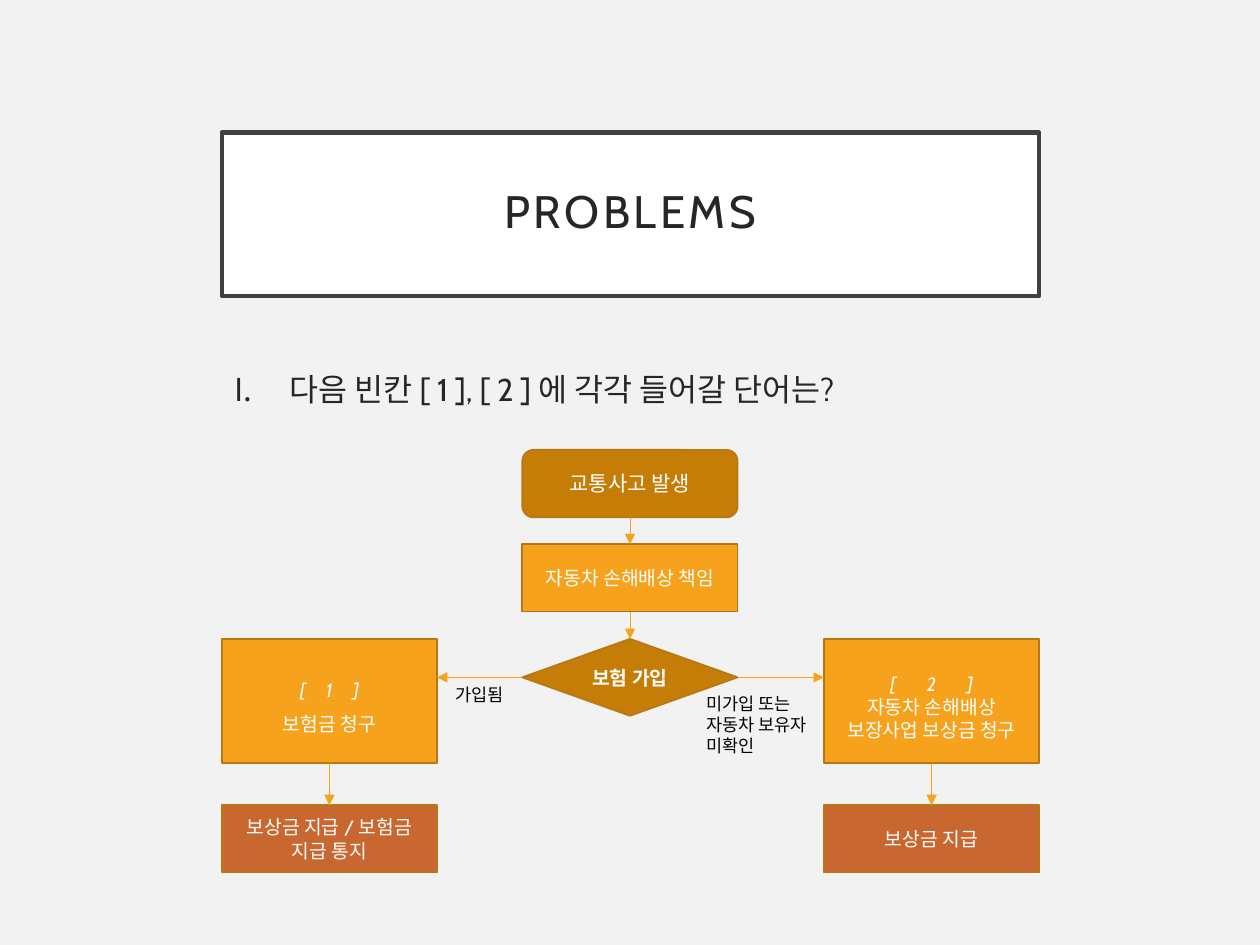
import pptx
import pptx.util
import pptx.dml.color
import pptx.enum.shapes
import pptx.enum.text
import pptx.oxml
import pptx.oxml.ns

Cm = pptx.util.Cm
Pt = pptx.util.Pt
KIND = pptx.enum.shapes.MSO_SHAPE
ALIGN = pptx.enum.text.PP_ALIGN
HUE = {
    "back": "F2F2F2", "white": "FFFFFF", "frame": "404040", "ink": "262626",
    "black": "000000", "dark": "C67D08", "gold": "F6A21D", "rust": "C96731",
    "edge": "B67815",
}


def tint(name):
    return pptx.dml.color.RGBColor.from_string(HUE[name])


def write(para, text, size, hue, bold=False, slant=False, track=0):
    run = para.add_run()
    run.text = text
    run.font.size = Pt(size)
    run.font.name = "Cabin"
    run.font.bold = bold
    run.font.italic = slant
    run.font.color.rgb = tint(hue)
    if track:
        run._r.get_or_add_rPr().set("spc", str(int(track * 100)))


deck = pptx.Presentation()
deck.slide_width = Cm(25.4)
deck.slide_height = Cm(19.05)
slide = deck.slides.add_slide(deck.slide_layouts[6])
slide.background.fill.solid()
slide.background.fill.fore_color.rgb = tint("back")

left, mid, right = 4.47, 10.53, 16.61
wide, tall = 4.34, 1.36
rect = KIND.RECTANGLE
nodes = [
    ("title", rect, left, 2.67, 16.48, 3.3, "white", "frame", 2.5),
    ("start", KIND.FLOWCHART_ALTERNATE_PROCESS, mid, 9.07, wide, tall, "dark", "edge", 1),
    ("duty", rect, mid, 10.97, wide, tall, "gold", "edge", 1),
    ("check", KIND.FLOWCHART_DECISION, mid, 12.88, wide, 1.55, "dark", "edge", 1),
    ("claim", rect, left, 12.88, wide, 2.51, "gold", "edge", 1),
    ("notice", rect, left, 16.23, wide, tall, "rust", "edge", 1),
    ("fund", rect, right, 12.88, wide, 2.51, "gold", "edge", 1),
    ("pay", rect, right, 16.23, wide, tall, "rust", "edge", 1),
]
shapes = {}
for name, kind, x, y, w, h, fill, edge, line in nodes:
    shape = slide.shapes.add_shape(kind, Cm(x), Cm(y), Cm(w), Cm(h))
    shape.shadow.inherit = False
    shape.fill.solid()
    shape.fill.fore_color.rgb = tint(fill)
    shape.line.color.rgb = tint(edge)
    shape.line.width = Pt(line)
    shape.text_frame.word_wrap = True
    shape.text_frame.vertical_anchor = pptx.enum.text.MSO_ANCHOR.MIDDLE
    shape.text_frame.paragraphs[0].alignment = ALIGN.CENTER
    shapes[name] = shape

head = shapes["title"].text_frame.paragraphs[0]
head.line_spacing = 0.9
write(head, "PROBLEMS", 26, "ink", track=2)

for name, text, size, bold in [
    ("start", "교통사고 발생", 12, False),
    ("duty", "자동차 손해배상 책임", 11, False),
    ("check", "보험 가입", 11, True),
    ("notice", "보상금 지급 / 보험금 지급 통지", 11, False),
    ("pay", "보상금 지급", 11, False),
]:
    write(shapes[name].text_frame.paragraphs[0], text, size, "white", bold)

for name, digit, track, text, space in [
    ("claim", "1", 4.5, "보험금 청구", 1.5),
    ("fund", "2", 7.5, "자동차 손해배상 보장사업 보상금 청구", 1),
]:
    frame = shapes[name].text_frame
    blank = frame.paragraphs[0]
    blank.line_spacing = 1.5
    write(blank, f"[ {digit} ", 11, "white", slant=True, track=track)
    write(blank, "]", 11, "white", slant=True)
    para = frame.add_paragraph()
    para.alignment = ALIGN.CENTER
    para.line_spacing = space
    write(para, text, 11, "white")

for x, y, w, h, text, size, hue, wrap in [
    (left, 7.34, 16.48, 1.32, "다음 빈칸 [ 1 ], [ 2 ] 에 각각 들어갈 단어는?", 18, "ink", True),
    (8.94, 13.67, 1.63, 0.71, "가입됨", 10, "black", False),
    (14, 13.84, 2.87, 1.55, "미가입 또는 자동차 보유자 미확인", 10, "black", True),
]:
    box = slide.shapes.add_textbox(Cm(x), Cm(y), Cm(w), Cm(h))
    box.text_frame.word_wrap = wrap
    para = box.text_frame.paragraphs[0]
    if size == 18:
        props = para._p.get_or_add_pPr()
        props.set("marL", str(Cm(1.12)))
        props.set("indent", str(-Cm(1.12)))
        mark = pptx.oxml.parse_xml(
            f'<a:buAutoNum {pptx.oxml.ns.nsdecls("a")} type="romanUcPeriod"/>')
        props.append(mark)
    write(para, text, size, hue)

axis = 12.88 + 1.55 / 2
for start, side, end, goal, point in [
    ("start", 2, "duty", 0, None),
    ("duty", 2, "check", 0, None),
    ("check", 1, None, None, (left + wide, axis)),
    ("check", 3, None, None, (right, axis)),
    ("claim", 2, "notice", 0, None),
    ("fund", 2, "pay", 0, None),
]:
    x, y = point or (0, 0)
    link = slide.shapes.add_connector(
        pptx.enum.shapes.MSO_CONNECTOR.STRAIGHT, Cm(x), Cm(y), Cm(x), Cm(y))
    link.begin_connect(shapes[start], side)
    if end:
        link.end_connect(shapes[end], goal)
    link.line.color.rgb = tint("gold")
    link.line.width = Pt(0.5)
    space = pptx.oxml.ns.nsdecls("a")
    link.line._get_or_add_ln().append(
        pptx.oxml.parse_xml(f'<a:tailEnd {space} type="triangle"/>'))
    link._element.spPr.append(pptx.oxml.parse_xml(f"<a:effectLst {space}/>"))

deck.save("out.pptx")
